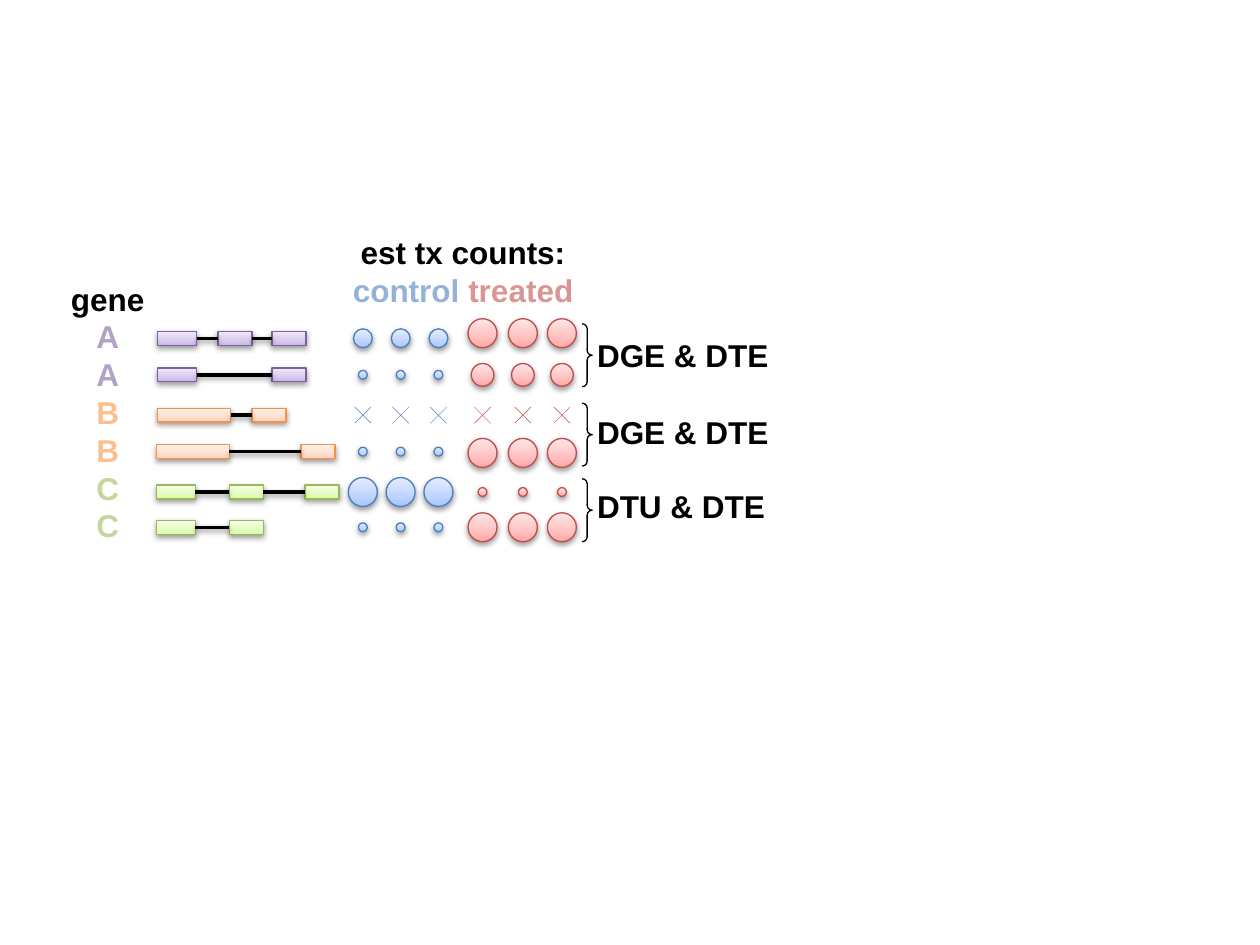
"""Builds a slide of estimated transcript counts for three genes."""
from copy import deepcopy

from lxml import etree
from pptx import Presentation
from pptx import util as u
from pptx.dml.color import RGBColor
from pptx.enum import shapes, text
from pptx.oxml.ns import qn

PALETTES = {
    "A": ("7D60A0", ("C9B5E8", "D8CBEE", "F0EAF9")),
    "B": ("F69240", ("FFD2BD", "FFDED0", "FFF2ED")),
    "C": ("98B955", ("DAFDA7", "E4FCC2", "F5FFE7")),
    "control": ("4B7EBC", ("A4C4FF", "BFD4FF", "E6EEFF")),
    "treated": ("BF4C48", ("FFA6A5", "FFC0BF", "FFE7E7")),
}
COLUMNS = {"control": (2.88, 3.18, 3.48), "treated": (3.83, 4.15, 4.46)}
EXON_HEIGHT = 0.11
CROSS = 0.13
# gene, exon top, exons as (left, width), control size, treated size, treated lift
TRANSCRIPTS = [
    ("A", 2.63, [(1.25, 0.31), (1.73, 0.27), (2.16, 0.27)], 0.15, 0.23, 0.04),
    ("A", 2.92, [(1.25, 0.31), (2.16, 0.27)], 0.07, 0.18, 0),
    ("B", 3.24, [(1.25, 0.58), (2, 0.27)], 0, 0, 0),
    ("B", 3.53, [(1.24, 0.58), (2.39, 0.27)], 0.07, 0.23, -0.01),
    ("C", 3.85, [(1.24, 0.31), (1.82, 0.27), (2.42, 0.27)], 0.23, 0.07, 0),
    ("C", 4.13, [(1.24, 0.31), (1.82, 0.27)], 0.07, 0.23, 0),
]
# label, label top, label width, brace top
RESULTS = [
    ("DGE & DTE", 2.62, 1.58, 2.57),
    ("DGE & DTE", 3.23, 1.58, 3.2),
    ("DTU & DTE", 3.82, 1.55, 3.8),
]
FONT = {"name": "Arial", "size": u.Pt(18), "bold": True}


def rgb(value):
    """Return the colour of a hex string."""
    return RGBColor.from_string(value)


def set_line(sp, color, width):
    """Set the colour and the width in points of an outline."""
    sp.line.color.rgb = rgb(color)
    sp.line.width = u.Pt(width)


def set_effects(sp, shadow):
    """Replace the theme effects by a soft shadow or by nothing."""
    effects = etree.SubElement(sp._element.spPr, qn("a:effectLst"))
    if shadow:
        outer = etree.SubElement(effects, qn("a:outerShdw"), blurRad="40000",
                                 dist="20000", dir="5400000", rotWithShape="0")
        color = etree.SubElement(outer, qn("a:srgbClr"), val="000000")
        etree.SubElement(color, qn("a:alpha"), val="38000")


def set_gradient(sp, colors):
    """Fill a shape from bottom to top with three colours."""
    sp.fill.gradient()
    sp.fill.gradient_angle = 90
    first = sp.fill._xPr.find(".//" + qn("a:gs"))
    first.addnext(deepcopy(first))
    for stop, color, position in zip(sp.fill.gradient_stops, colors, (0, 0.35, 1)):
        stop.color.rgb = rgb(color)
        stop.position = position


def add_solid(s, kind, box, palette):
    """Add a gradient shape with a shadow."""
    line, colors = PALETTES[palette]
    sp = s.shapes.add_shape(kind, *map(u.Inches, box))
    set_gradient(sp, colors)
    set_line(sp, line, 0.75)
    set_effects(sp, True)
    return sp


def add_line(parent, ends, color, width, shadow):
    """Add a straight line."""
    cx = parent.shapes.add_connector(shapes.MSO_CONNECTOR.STRAIGHT, *map(u.Inches, ends))
    set_line(cx, color, width)
    set_effects(cx, shadow)
    return cx


def add_transcript(s, gene, top, exons):
    """Add the exons of a transcript, joined by introns."""
    boxes = [add_solid(s, shapes.MSO_SHAPE.RECTANGLE, (x, top, w, EXON_HEIGHT), gene)
             for x, w in exons]
    for left, right in zip(boxes, boxes[1:]):
        cx = add_line(s, (0, 0, 0, 0), "000000", 2, True)
        cx.begin_connect(left, 3)
        cx.end_connect(right, 1)


def add_cross(s, x, y, color):
    """Add a grouped cross around a centre."""
    group = s.shapes.add_group_shape()
    h = CROSS / 2
    for dy in (h, -h):
        add_line(group, (x - h, y - dy, x + h, y + dy), color, 0.25, False)


def add_counts(s, condition, y, size):
    """Add one circle per sample, or crosses when the count is zero."""
    for x in COLUMNS[condition]:
        if size:
            box = (x - size / 2, y - size / 2, size, size)
            add_solid(s, shapes.MSO_SHAPE.OVAL, box, condition)
        else:
            add_cross(s, x, y, PALETTES[condition][0])


def add_brace(s, top):
    """Add a right brace beside two transcripts."""
    sp = s.shapes.add_shape(shapes.MSO_SHAPE.RIGHT_BRACE,
                            *map(u.Inches, (4.62, top, 0.08, 0.5)))
    sp.adjustments[0] = 0.48
    sp.fill.background()
    set_line(sp, "000000", 0.75)
    set_effects(sp, False)


def add_text(s, box, paragraphs, align):
    """Add a text box from paragraphs of (text, colour) runs."""
    tf = s.shapes.add_textbox(*map(u.Inches, box)).text_frame
    tf.word_wrap = False
    tf.auto_size = text.MSO_AUTO_SIZE.SHAPE_TO_FIT_TEXT
    for i, runs in enumerate(paragraphs):
        p = tf.add_paragraph() if i else tf.paragraphs[0]
        p.alignment = align
        for words, color in runs:
            r = p.add_run()
            r.text = words
            for key, value in FONT.items():
                setattr(r.font, key, value)
            r.font.color.rgb = rgb(color)


def main():
    """Build and save the slide."""
    prs = Presentation()
    prs.slide_width, prs.slide_height = u.Inches(10), u.Inches(7.5)
    s = prs.slides.add_slide(prs.slide_layouts[6])

    center, left = text.PP_ALIGN.CENTER, text.PP_ALIGN.LEFT
    gene_colors = {"A": "B3A2C7", "B": "FAC090", "C": "C3D69B"}
    genes = [[("gene", "000000")]] + [[(t[0], gene_colors[t[0]])] for t in TRANSCRIPTS]
    add_text(s, (0.46, 2.17, 0.79, 2.22), genes, center)
    heading = [[("est tx counts:", "000000")],
               [("control ", "95B3D7"), ("treated", "D99694")]]
    add_text(s, (2.69, 1.8, 1.97, 0.71), heading, center)

    for gene, top, exons, control, treated, lift in TRANSCRIPTS:
        middle = top + EXON_HEIGHT / 2
        add_transcript(s, gene, top, exons)
        add_counts(s, "control", middle, control)
        add_counts(s, "treated", middle - lift, treated)

    for label, top, width, brace_top in RESULTS:
        add_brace(s, brace_top)
        add_text(s, (4.64, top, width, 0.4), [[(label, "000000")]], left)

    prs.save("out.pptx")


if __name__ == "__main__":
    main()
